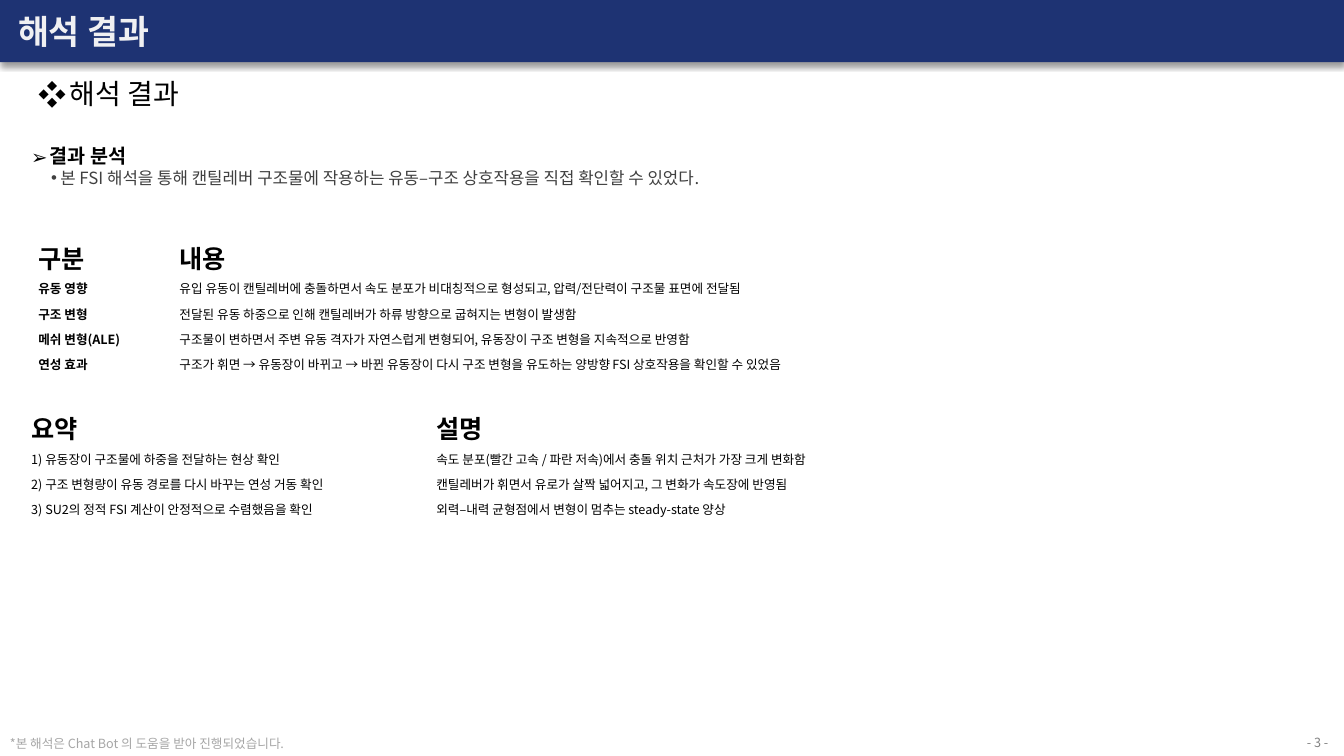
import pptx
import pptx.util
import pptx.dml.color
import pptx.enum.shapes
import pptx.enum.text
import pptx.oxml
import pptx.oxml.ns
from lxml import etree

Pt = pptx.util.Pt
Mid = pptx.enum.text.MSO_ANCHOR.MIDDLE
NS = pptx.oxml.ns.nsdecls("a")
Qn = pptx.oxml.ns.qn


def color(code):
    return pptx.dml.color.RGBColor.from_string(code)


class Page:
    face = "Noto Sans CJK KR"
    navy = "1E3373"
    black = "000000"

    def __init__(self, deck):
        self.slide = deck.slides.add_slide(deck.slide_layouts[6])

    def run(self, para, text, size, tint=black, bold=False):
        run = para.add_run()
        run.text = text
        font = run.font
        font.name, font.size, font.bold = self.face, Pt(size), bold
        font.color.rgb = color(tint)
        east = etree.SubElement(font._element, Qn("a:ea"))
        east.set("typeface", self.face)

    def bullet(self, para, mark, left, hang):
        props = para._p.get_or_add_pPr()
        props.set("marL", str(Pt(left)))
        props.set("indent", str(-Pt(hang)))
        face = "Arial" if mark == "•" else self.face
        props.append(pptx.oxml.parse_xml(f'<a:buFont {NS} typeface="{face}"/>'))
        props.append(pptx.oxml.parse_xml(f'<a:buChar {NS} char="{mark}"/>'))

    def banner(self, x, y, w, h):
        kind = pptx.enum.shapes.MSO_SHAPE.RECTANGLE
        bar = self.slide.shapes.add_shape(kind, Pt(x), Pt(y), Pt(w), Pt(h))
        bar.fill.solid()
        bar.fill.fore_color.rgb = color(self.navy)
        bar.line.fill.background()
        bar.shadow.inherit = False
        glow = bar._element.spPr.find(Qn("a:effectLst"))
        glow.append(pptx.oxml.parse_xml(
            f'<a:outerShdw {NS} blurRad="{Pt(4)}" dist="{Pt(3)}" dir="5400000" '
            'algn="t" rotWithShape="0"><a:srgbClr val="000000">'
            '<a:alpha val="40000"/></a:srgbClr></a:outerShdw>'))

    def text(self, x, y, w, h):
        box = self.slide.shapes.add_textbox(Pt(x), Pt(y), Pt(w), Pt(h))
        box.text_frame.word_wrap = True
        return box.text_frame

    def table(self, x, y, wides, rows, lead=False):
        high = [28.8] + [18] * (len(rows) - 1)
        grid = self.slide.shapes.add_table(
            len(rows), len(wides), Pt(x), Pt(y), Pt(sum(wides)), Pt(sum(high))).table
        grid.first_row = grid.horz_banding = False
        for col, wide in zip(grid.columns, wides):
            col.width = Pt(wide)
        for r, row in enumerate(rows):
            grid.rows[r].height = Pt(high[r])
            for c, words in enumerate(row):
                cell = grid.cell(r, c)
                cell.fill.background()
                cell.vertical_anchor = Mid
                bold = r == 0 or (lead and c == 0)
                self.run(cell.text_frame.paragraphs[0], words, 9 if r else 18, bold=bold)


def main():
    deck = pptx.Presentation()
    deck.slide_width, deck.slide_height = Pt(960), Pt(540)
    page = Page(deck)
    page.banner(0, -1.2, 960, 45.6)

    num = page.text(923.8, 521.3, 34.6, 18)
    num.margin_left = num.margin_right = num.margin_top = num.margin_bottom = 0
    num.vertical_anchor = Mid
    num.paragraphs[0].alignment = pptx.enum.text.PP_ALIGN.CENTER
    page.run(num.paragraphs[0], "- 3 -", 9, "808080")

    title = page.text(5.8, 0, 831.6, 43.9)
    title.vertical_anchor = Mid
    page.run(title.paragraphs[0], "해석 결과", 24, "F0F0F2", True)

    head = page.text(20.2, 51.1, 578.9, 31.7).paragraphs[0]
    page.bullet(head, "❖", 22.5, 22.5)
    page.run(head, "해석 결과", 20)

    notes = page.text(15.1, 99.4, 631.4, 38.9)
    topic = notes.paragraphs[0]
    page.bullet(topic, "➢", 13.5, 13.5)
    page.run(topic, "결과 분석", 14, bold=True)
    point = notes.add_paragraph()
    page.bullet(point, "•", 20.9, 6.5)
    page.run(point, "본 FSI 해석을 통해 캔틸레버 구조물에 작용하는 유동–구조 상호작용을 "
             "직접 확인할 수 있었다.", 12, "404040")

    foot = page.text(0, 522, 275.8, 18).paragraphs[0]
    page.run(foot, "*본 해석은 Chat Bot 의 도움을 받아 진행되었습니다.", 9, "A6A6A6")

    page.table(20.2, 167, [100.8, 727.2], [
        ("구분", "내용"),
        ("유동 영향", "유입 유동이 캔틸레버에 충돌하면서 속도 분포가 비대칭적으로 형성되고, "
         "압력/전단력이 구조물 표면에 전달됨"),
        ("구조 변형", "전달된 유동 하중으로 인해 캔틸레버가 하류 방향으로 굽혀지는 변형이 발생함"),
        ("메쉬 변형(ALE)", "구조물이 변하면서 주변 유동 격자가 자연스럽게 변형되어, "
         "유동장이 구조 변형을 지속적으로 반영함"),
        ("연성 효과", "구조가 휘면 → 유동장이 바뀌고 → 바뀐 유동장이 다시 구조 변형을 "
         "유도하는 양방향 FSI 상호작용을 확인할 수 있었음"),
    ], lead=True)
    page.table(15.1, 288.7, [289.4, 538.6], [
        ("요약", "설명"),
        ("1) 유동장이 구조물에 하중을 전달하는 현상 확인",
         "속도 분포(빨간 고속 / 파란 저속)에서 충돌 위치 근처가 가장 크게 변화함"),
        ("2) 구조 변형량이 유동 경로를 다시 바꾸는 연성 거동 확인",
         "캔틸레버가 휘면서 유로가 살짝 넓어지고, 그 변화가 속도장에 반영됨"),
        ("3) SU2의 정적 FSI 계산이 안정적으로 수렴했음을 확인",
         "외력–내력 균형점에서 변형이 멈추는 steady-state 양상"),
    ])
    deck.save("out.pptx")


if __name__ == "__main__":
    main()
